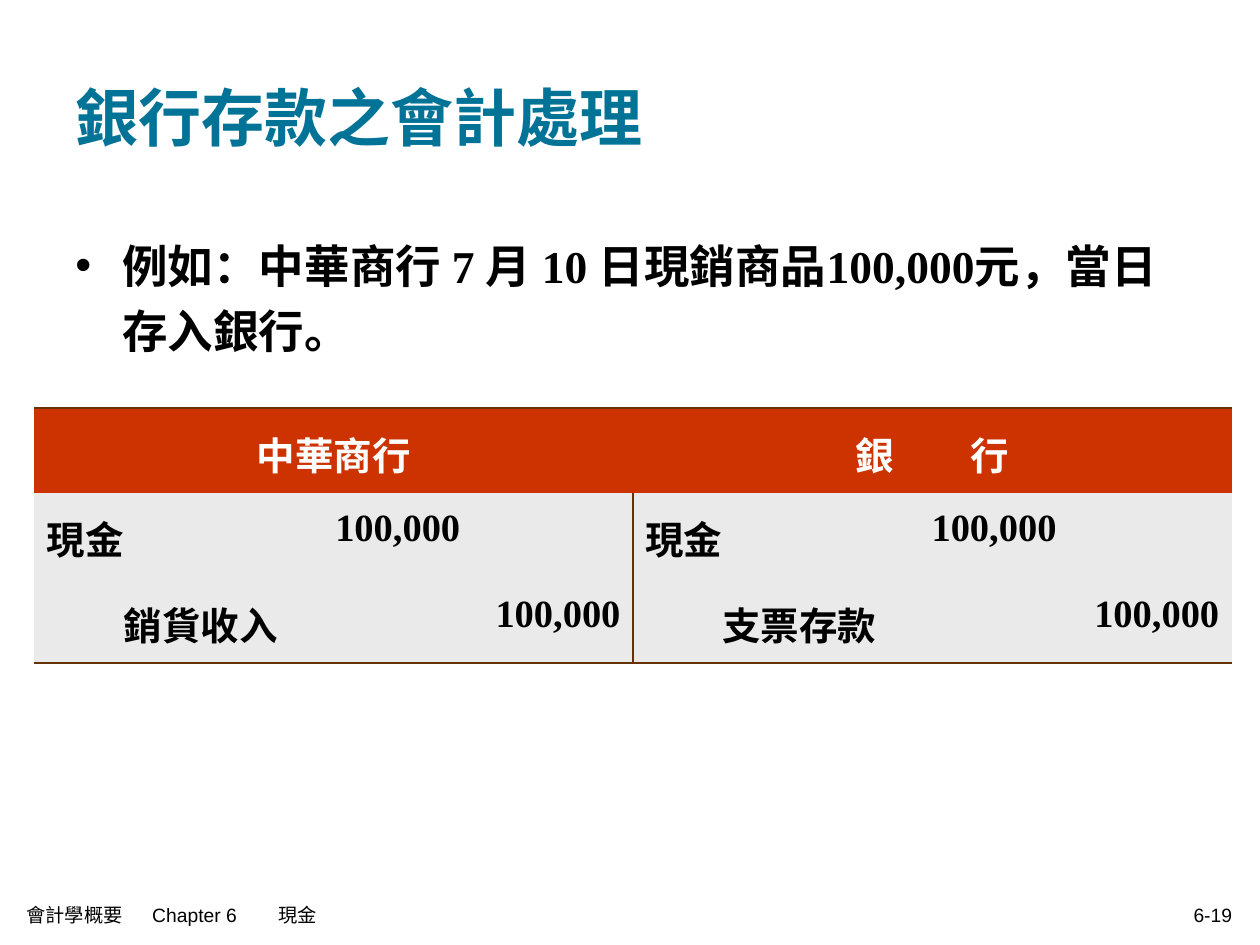
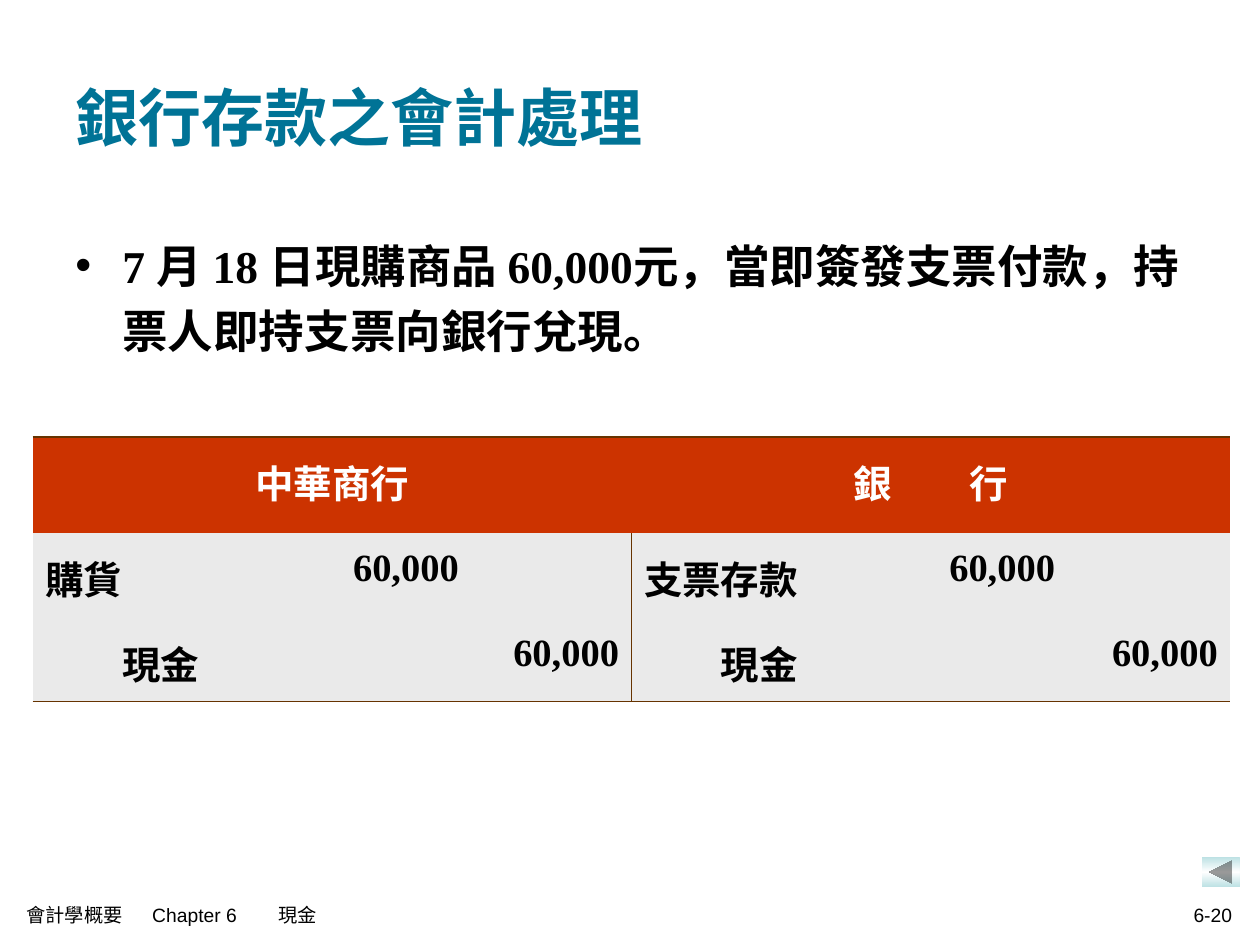
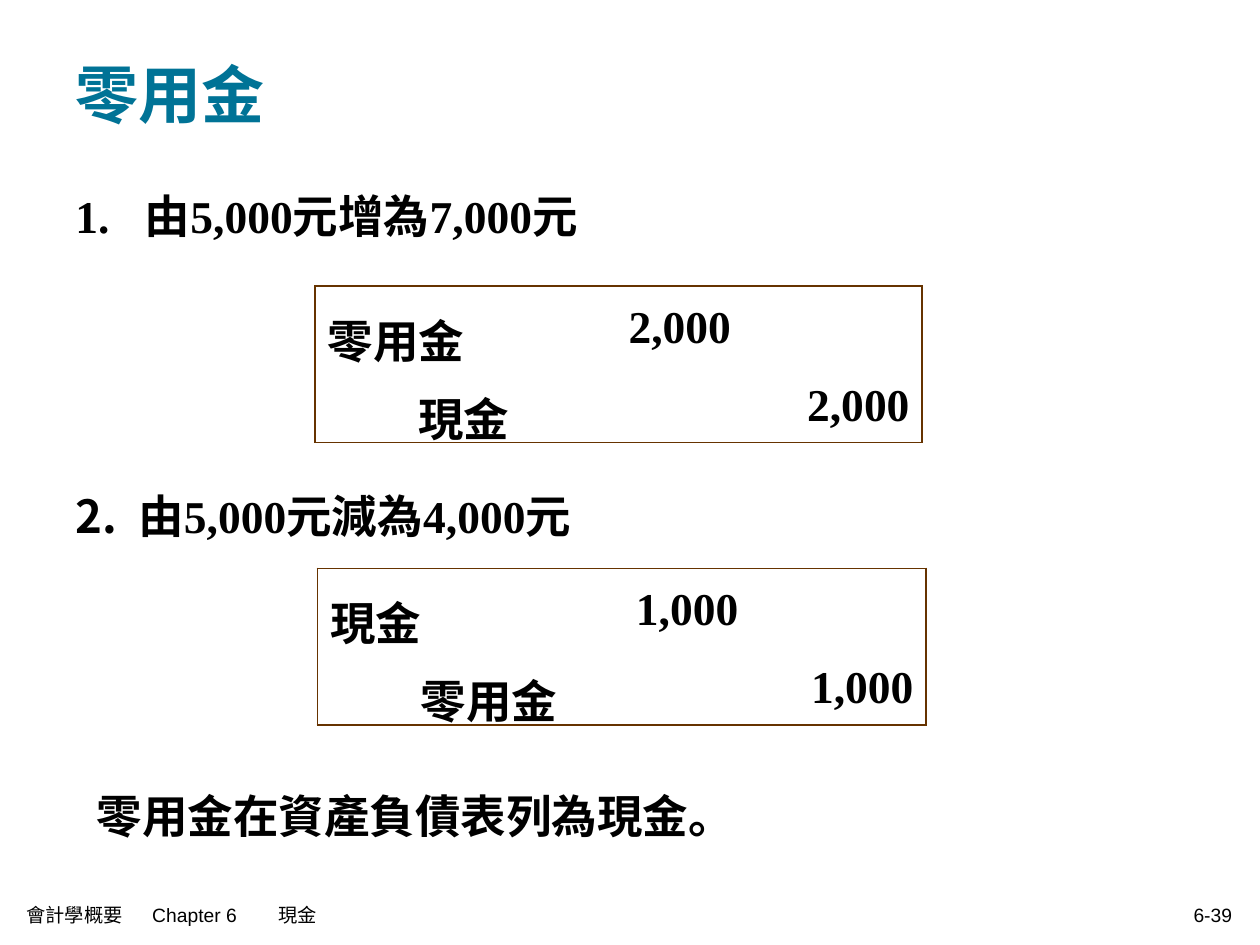
from dataclasses import dataclass
from typing import Optional

from lxml.etree import SubElement
from pptx import Presentation
from pptx.dml.color import RGBColor
from pptx.enum.shapes import MSO_SHAPE as Shape
from pptx.enum.text import MSO_ANCHOR as Anchor, PP_ALIGN as Align
from pptx.oxml.ns import qn
from pptx.util import Cm, Pt

TEAL, BLACK, WHITE = "007396", "000000", "FFFFFF"
RED, GRAY, BROWN, PALE = "CC3300", "EAEAEA", "663300", "BBE0E3"
SERIF, SANS = "Times New Roman", "Arial"
NO_GRID = "{2D5ABB26-0587-4C30-8999-92F81FD0307C}"
ENTRY_COLS = (5.51, 3.33, 3.23, 5.51, 3.28, 3.28)


@dataclass(frozen=True)
class Style:
    """Look of a run of text."""
    size: float
    color: str = BLACK
    font: str = SERIF
    bold: bool = True


TITLE = Style(36, TEAL)
BODY = Style(26)
HEAD = Style(22, WHITE)
ENTRY = Style(22)
FOOTER = Style(11, font=SANS, bold=False)


@dataclass(frozen=True)
class Para:
    """One paragraph; lengths in cm, before and gap in points."""
    text: str
    style: Style
    align: Align = Align.LEFT
    line: float = 1.0
    before: float = 0
    left: float = 0
    indent: float = 0
    bullet: str = ""
    start: int = 0
    tabs: tuple[float, ...] = ()
    gap: float = 0


@dataclass(frozen=True)
class Box:
    """Position and size in cm."""
    x: float
    y: float
    w: float
    h: float


@dataclass(frozen=True)
class Posting:
    """A debit and a credit account sharing one amount."""
    debit: str
    credit: str
    amount: str


@dataclass(frozen=True)
class Journal:
    """A table of postings side by side, with optional headings."""
    x: float
    y: float
    cols: tuple[float, ...]
    rows: tuple[float, ...]
    postings: tuple[Posting, ...]
    style: Style
    heads: tuple[Para, ...] = ()


def rgb(color: str) -> RGBColor:
    """Turn a hex string into a colour."""
    return RGBColor.from_string(color)


def add_run(p, text: str, style: Style, gap: float = 0) -> None:
    """Add a styled run, with letter spacing if a gap is given."""
    r = p.add_run()
    r.text = text
    f = r.font
    f.name, f.size, f.bold = style.font, Pt(style.size), style.bold
    f.color.rgb = rgb(style.color)
    if gap:
        r._r.get_or_add_rPr().set("spc", str(int(gap * 100)))


def fill_para(p, item: Para) -> None:
    """Write a paragraph's layout, bullet, tabs and runs."""
    p.alignment, p.line_spacing = item.align, item.line
    if item.before:
        p.space_before = Pt(item.before)
    pr = p._p.get_or_add_pPr()
    pr.set("marL", str(Cm(item.left)))
    pr.set("indent", str(Cm(item.indent)))
    if item.bullet:
        SubElement(pr, qn("a:buFont"), typeface=SANS)
        SubElement(pr, qn("a:buChar"), char=item.bullet)
    elif item.start:
        SubElement(pr, qn("a:buAutoNum"), type="arabicPeriod", startAt=str(item.start))
    else:
        SubElement(pr, qn("a:buNone"))
    if item.tabs:
        tabs = SubElement(pr, qn("a:tabLst"))
        for pos in item.tabs:
            SubElement(tabs, qn("a:tab"), pos=str(Cm(pos)), algn="l")
    if item.gap:
        add_run(p, item.text[0], item.style, item.gap)
        add_run(p, item.text[1:], item.style)
    else:
        add_run(p, item.text, item.style)


def add_text(s, box: Box, items: list[Para], anchor: Anchor = Anchor.TOP) -> None:
    """Add a text box holding the paragraphs."""
    sp = s.shapes.add_textbox(Cm(box.x), Cm(box.y), Cm(box.w), Cm(box.h))
    tf = sp.text_frame
    tf.word_wrap, tf.vertical_anchor = True, anchor
    for i, item in enumerate(items):
        fill_para(tf.add_paragraph() if i else tf.paragraphs[0], item)


def set_borders(cell, sides: set[str]) -> None:
    """Draw the named sides of a cell and clear the others."""
    pr = cell._tc.get_or_add_tcPr()
    for i, side in enumerate("LRTB"):
        ln = SubElement(pr, qn(f"a:ln{side}"), w=str(Pt(1.08)))
        pr.remove(ln)
        pr.insert(i, ln)
        if side in sides:
            fill = SubElement(ln, qn("a:solidFill"))
            SubElement(fill, qn("a:srgbClr"), val=BROWN)
        else:
            SubElement(ln, qn("a:noFill"))


def border_sides(j: Journal, row: int, col: int) -> set[str]:
    """Pick a cell's ruled sides: a frame without headings, a T with them."""
    sides = set()
    if row == 0:
        sides.add("T")
    if row == len(j.rows) - 1:
        sides.add("B")
    if j.heads:
        if row and col == 2:
            sides.add("R")
        if row and col == 3:
            sides.add("L")
    else:
        if col == 0:
            sides.add("L")
        if col == len(j.cols) - 1:
            sides.add("R")
    return sides


def add_journal(s, j: Journal) -> None:
    """Add a journal table."""
    gf = s.shapes.add_table(len(j.rows), len(j.cols), Cm(j.x), Cm(j.y),
                            Cm(sum(j.cols)), Cm(sum(j.rows)))
    t = gf.table
    t._tbl.tblPr.find(qn("a:tableStyleId")).text = NO_GRID
    t.first_row = t.horz_banding = False
    for col, w in zip(t.columns, j.cols):
        col.width = Cm(w)
    for row, h in zip(t.rows, j.rows):
        row.height = Cm(h)
    for r in range(len(j.rows)):
        for c in range(len(j.cols)):
            cell = t.cell(r, c)
            if j.heads:
                cell.fill.solid()
                cell.fill.fore_color.rgb = rgb(GRAY if r else RED)
            else:
                cell.fill.background()
            set_borders(cell, border_sides(j, r, c))
    for i, head in enumerate(j.heads):
        t.cell(0, 3 * i).merge(t.cell(0, 3 * i + 2))
        fill_para(t.cell(0, 3 * i).text_frame.paragraphs[0], head)
    top = len(j.rows) - 2
    two_letters = round(2 * j.style.size * 2.54 / 72, 2)
    for i, post in enumerate(j.postings):
        amount = Para(post.amount, j.style, Align.RIGHT, 1.2)
        entries = {
            (0, 0): Para(post.debit, j.style, line=1.2),
            (0, 1): amount,
            (1, 0): Para(post.credit, j.style, line=1.2, left=two_letters),
            (1, 2): amount,
        }
        for (r, c), item in entries.items():
            fill_para(t.cell(top + r, 3 * i + c).text_frame.paragraphs[0], item)


def add_back_button(s, box: Box) -> None:
    """Add the gradient button that points back."""
    sp = s.shapes.add_shape(Shape.ACTION_BUTTON_BACK_OR_PREVIOUS,
                            Cm(box.x), Cm(box.y), Cm(box.w), Cm(box.h))
    sp.shadow.inherit = False
    sp.line.fill.background()
    sp.fill.gradient()
    sp.fill.gradient_angle = 270
    stops = sp._element.spPr.find(qn("a:gradFill")).find(qn("a:gsLst"))
    for gs in list(stops):
        stops.remove(gs)
    for pos, color in ((0, PALE), (50, WHITE), (100, PALE)):
        gs = SubElement(stops, qn("a:gs"), pos=str(pos * 1000))
        SubElement(gs, qn("a:srgbClr"), val=color)


def add_slide(prs, title: str, page: str, title_y: float = 0.76):
    """Add a slide with its title and footer."""
    s = prs.slides.add_slide(prs.slide_layouts[6])
    add_text(s, Box(1.27, title_y, 22.86, 3.18), [Para(title, TITLE)], Anchor.MIDDLE)
    add_text(s, Box(0.28, 18.03, 12.95, 0.84),
             [Para("會計學概要\tChapter 6\t現金", FOOTER, tabs=(2.31, 4.33))], Anchor.MIDDLE)
    add_text(s, Box(17.22, 18.03, 7.87, 0.84),
             [Para(page, FOOTER, Align.RIGHT)], Anchor.MIDDLE)
    return s


def add_example(prs, page: str, text: str, journal: Journal):
    """Add a slide with one bulleted example and its journal."""
    s = add_slide(prs, "銀行存款之會計處理", page)
    add_text(s, Box(1.27, 4.45, 22.86, 3.78),
             [Para(text, BODY, line=1.2, left=0.95, indent=-0.95, bullet="•")])
    add_journal(s, journal)
    return s


def add_petty_cash(prs) -> None:
    """Add the slide on changing the petty cash fund."""
    s = add_slide(prs, "零用金", "6-39", 0.3)
    step: Optional[float] = 137
    add_text(s, Box(1.27, 3.56, 22.81, 14.27), [
        Para("1.\t由5,000元增為7,000元", BODY, line=1.1, left=1.4, indent=-1.4),
        Para("由5,000元減為4,000元", BODY, line=1.1, before=step,
             left=1.27, indent=-1.27, start=2),
        Para("零用金在資產負債表列為現金。", BODY, line=1.1, before=step, left=0.43),
    ])
    rows = (1.57, 1.57)
    add_journal(s, Journal(6.35, 5.77, (4.88, 3.76, 3.6), rows,
                           (Posting("零用金", "現金", "2,000"),), BODY))
    add_journal(s, Journal(6.4, 11.46, (5.51, 3.23, 3.53), rows,
                           (Posting("現金", "零用金", "1,000"),), BODY))


def main() -> None:
    """Build the three slides."""
    prs = Presentation()
    prs.slide_width, prs.slide_height = Cm(25.4), Cm(19.05)
    heads = (Para("中華商行", HEAD, Align.CENTER, 1.2),
             Para("銀行", HEAD, Align.CENTER, 1.2, gap=44))
    add_example(
        prs, "6-19", "例如：中華商行 7 月 10 日現銷商品100,000元，當日存入銀行。",
        Journal(0.69, 8.23, ENTRY_COLS, (1.7, 1.73, 1.7),
                (Posting("現金", "銷貨收入", "100,000"),
                 Posting("現金", "支票存款", "100,000")), ENTRY, heads))
    s = add_example(
        prs, "6-20", "7 月 18 日現購商品 60,000元，當即簽發支票付款，持票人即持支票向銀行兌現。",
        Journal(0.66, 8.81, ENTRY_COLS, (1.93, 1.7, 1.7),
                (Posting("購貨", "現金", "60,000"),
                 Posting("支票存款", "現金", "60,000")), ENTRY, heads))
    add_back_button(s, Box(24.23, 17.27, 0.76, 0.62))
    add_petty_cash(prs)
    prs.save("out.pptx")


if __name__ == "__main__":
    main()
